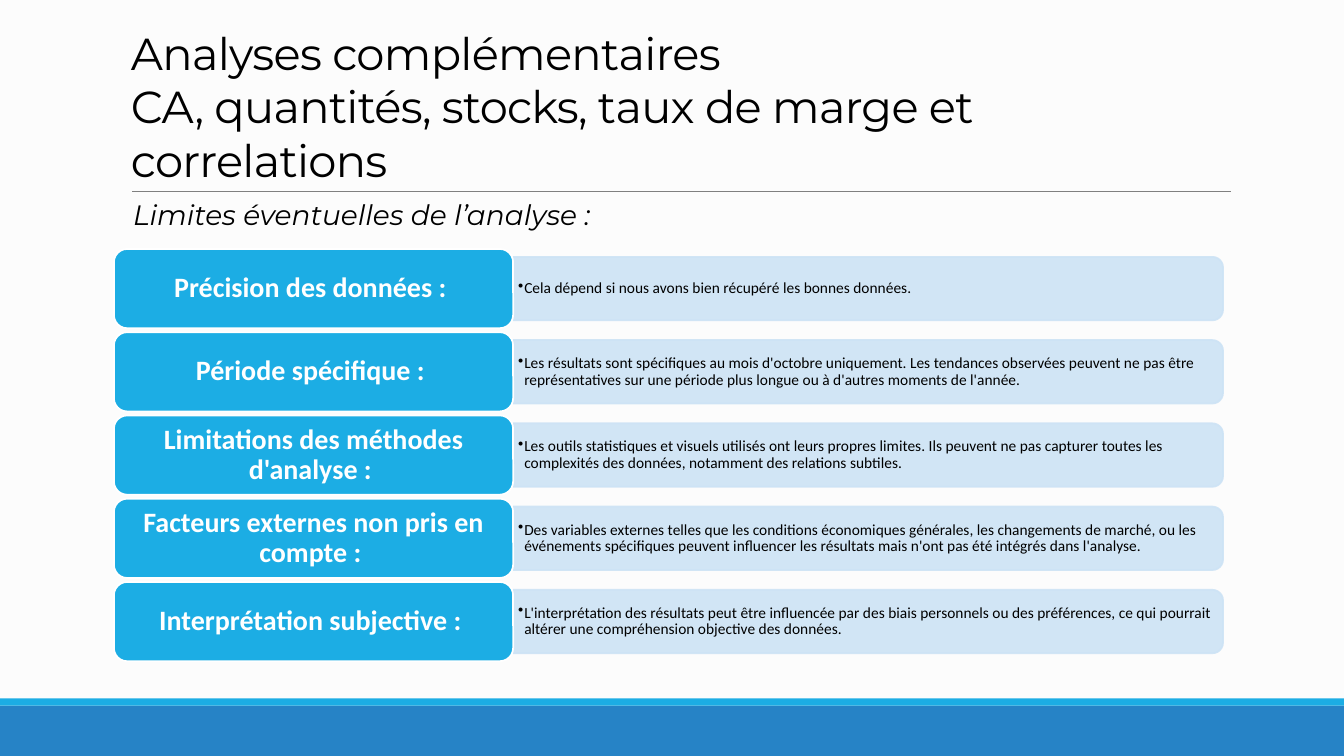
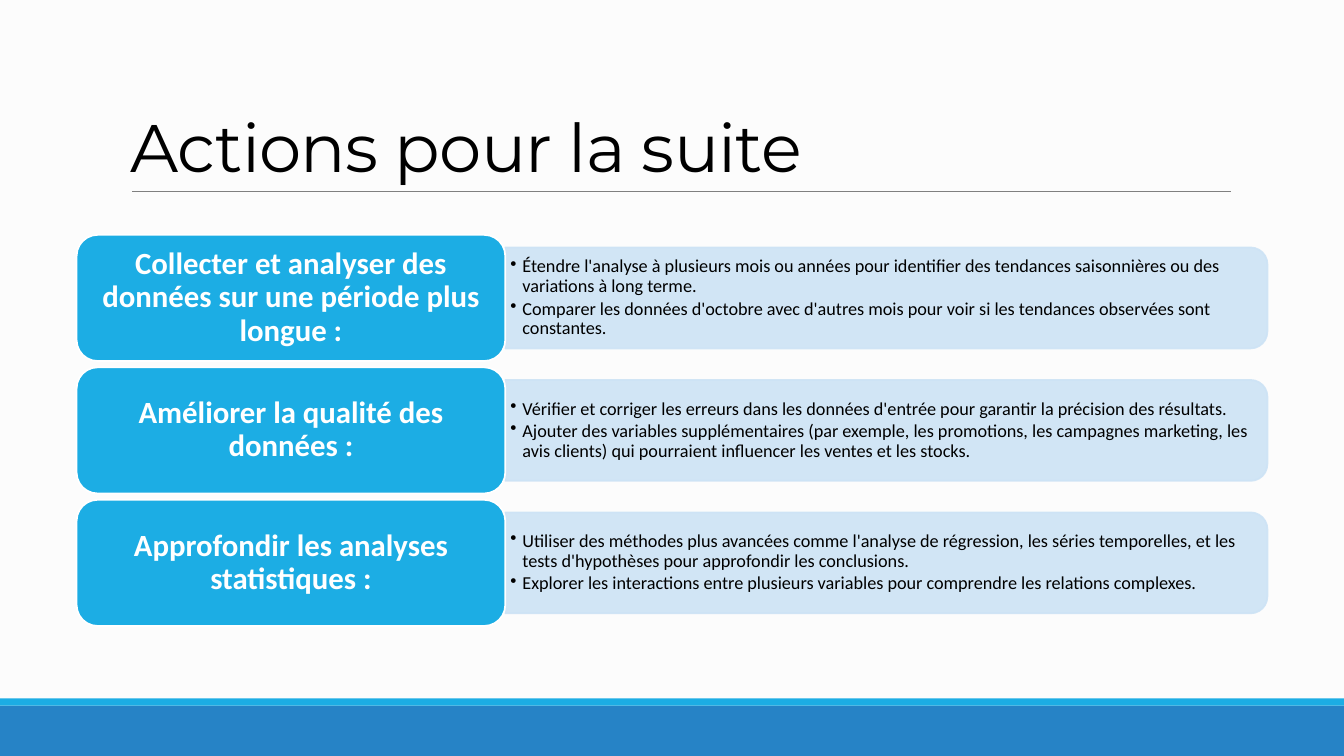
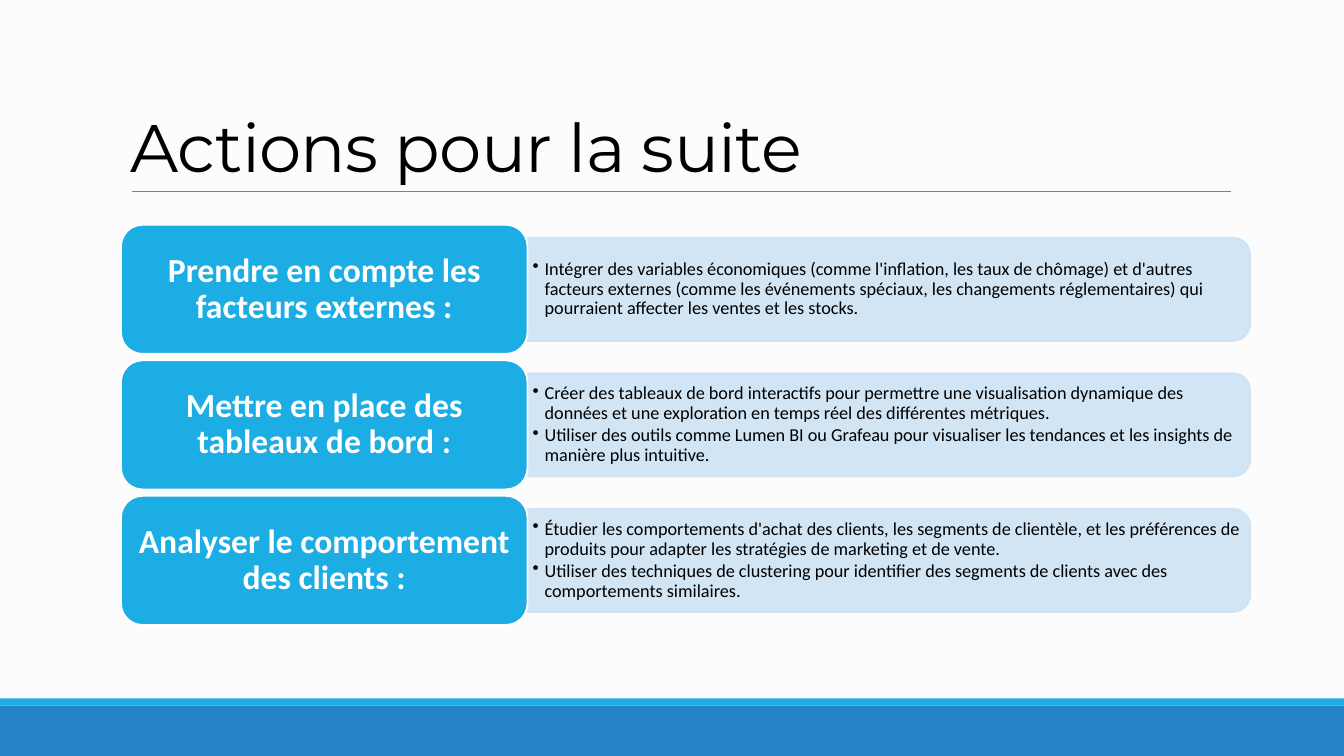
from pptx import Presentation
from pptx.dml.color import RGBColor
from pptx.enum.shapes import MSO_CONNECTOR, MSO_SHAPE
from pptx.enum.text import MSO_ANCHOR, PP_ALIGN
from pptx.oxml.ns import qn
from pptx.util import Inches, Pt
from lxml.etree import SubElement

WIDTH, HEIGHT = 13.33, 7.5
BACKGROUND, BLUE, CYAN, PALE = "FCFCFC", "2683C6", "1CADE4", "CDE3F5"
BLACK, WHITE, GREY = "000000", "FFFFFF", "808080"
TITLE_FONT, BODY_FONT = "Montserrat", "Calibri"

LIMITS = [
    ("Précision des données : ",
     ["Cela dépend si nous avons bien récupéré les bonnes données."]),
    ("Période spécifique : ",
     ["Les résultats sont spécifiques au mois d'octobre uniquement. Les tendances observées "
      "peuvent ne pas être représentatives sur une période plus longue ou à d'autres moments "
      "de l'année."]),
    ("Limitations des méthodes d'analyse : ",
     ["Les outils statistiques et visuels utilisés ont leurs propres limites. Ils peuvent ne "
      "pas capturer toutes les complexités des données, notamment des relations subtiles."]),
    ("Facteurs externes non pris en compte : ",
     ["Des variables externes telles que les conditions économiques générales, les changements "
      "de marché, ou les événements spécifiques peuvent influencer les résultats mais n'ont pas "
      "été intégrés dans l'analyse."]),
    ("Interprétation subjective : ",
     ["L'interprétation des résultats peut être influencée par des biais personnels ou des "
      "préférences, ce qui pourrait altérer une compréhension objective des données."]),
]
DATA_ACTIONS = [
    ("Collecter et analyser des données sur une période plus longue :",
     ["Étendre l'analyse à plusieurs mois ou années pour identifier des tendances saisonnières "
      "ou des variations à long terme.",
      "Comparer les données d'octobre avec d'autres mois pour voir si les tendances observées "
      "sont constantes."]),
    ("Améliorer la qualité des données :",
     ["Vérifier et corriger les erreurs dans les données d'entrée pour garantir la précision "
      "des résultats.",
      "Ajouter des variables supplémentaires (par exemple, les promotions, les campagnes "
      "marketing, les avis clients) qui pourraient influencer les ventes et les stocks."]),
    ("Approfondir les analyses statistiques :",
     ["Utiliser des méthodes plus avancées comme l'analyse de régression, les séries "
      "temporelles, et les tests d'hypothèses pour approfondir les conclusions.",
      "Explorer les interactions entre plusieurs variables pour comprendre les relations "
      "complexes."]),
]
BUSINESS_ACTIONS = [
    ("Prendre en compte les facteurs externes :",
     ["Intégrer des variables économiques (comme l'inflation, les taux de chômage) et d'autres "
      "facteurs externes (comme les événements spéciaux, les changements réglementaires) qui "
      "pourraient affecter les ventes et les stocks."]),
    ("Mettre en place des tableaux de bord :",
     ["Créer des tableaux de bord interactifs pour permettre une visualisation dynamique des "
      "données et une exploration en temps réel des différentes métriques.",
      "Utiliser des outils comme Lumen BI ou Grafeau pour visualiser les tendances et les "
      "insights de manière plus intuitive."]),
    ("Analyser le comportement des clients :",
     ["Étudier les comportements d'achat des clients, les segments de clientèle, et les "
      "préférences de produits pour adapter les stratégies de marketing et de vente.",
      "Utiliser des techniques de clustering pour identifier des segments de clients avec des "
      "comportements similaires."]),
]


def rgb(color):
    return RGBColor.from_string(color)


def box(left, top, width, height):
    return [Inches(v) for v in (left, top, width, height)]


def add_box(s, kind, at, fill, line=None):
    sp = s.shapes.add_shape(kind, *box(*at))
    sp.shadow.inherit = False
    sp.fill.solid()
    sp.fill.fore_color.rgb = rgb(fill)
    if line:
        sp.line.color.rgb = rgb(line)
        sp.line.width = Pt(1.25)
    else:
        sp.line.fill.background()
    return sp


def write(sp, paragraphs, size, font=BODY_FONT, color=BLACK, bold=False, italic=False,
          align=PP_ALIGN.LEFT, anchor=MSO_ANCHOR.MIDDLE, insets=(0.1, 0.05), spacing=0.9,
          after=0, margin=0, bullet=None, tracking=0):
    """Fill a shape with paragraphs; a bullet hangs to the left of the margin."""
    tf = sp.text_frame
    tf.word_wrap = True
    tf.vertical_anchor = anchor
    tf.margin_left = tf.margin_right = Inches(insets[0])
    tf.margin_top = tf.margin_bottom = Inches(insets[1])
    for i, text in enumerate(paragraphs):
        p = tf.add_paragraph() if i else tf.paragraphs[0]
        p.text = text
        p.alignment = align
        p.line_spacing = spacing
        p.space_after = Pt(after)
        pPr = p._p.get_or_add_pPr()
        pPr.set("marL", str(Inches(margin)))
        if bullet:
            pPr.set("indent", str(-Inches(margin)))
            SubElement(pPr, qn("a:buChar"), char=bullet)
        for r in p.runs:
            r.font.size, r.font.name = Pt(size), font
            r.font.bold, r.font.italic = bold, italic
            r.font.color.rgb = rgb(color)
            if tracking:
                r._r.get_or_add_rPr().set("spc", str(round(tracking * 100)))


def add_text(s, at, paragraphs, size, **style):
    write(s.shapes.add_textbox(*box(*at)), paragraphs, size, **style)


def add_titled_slide(prs, title, size, spacing):
    """Add a slide with the shared background, bottom bands, title and rule."""
    s = prs.slides.add_slide(prs.slide_layouts[6])
    s.background.fill.solid()
    s.background.fill.fore_color.rgb = rgb(BACKGROUND)
    add_box(s, MSO_SHAPE.RECTANGLE, (0, 7, WIDTH, 0.5), BLUE)
    add_box(s, MSO_SHAPE.RECTANGLE, (0, 6.93, WIDTH, 0.07), CYAN)
    rule = s.shapes.add_connector(MSO_CONNECTOR.STRAIGHT, *box(1.31, 1.9, 12.21, 1.9))
    rule.line.color.rgb = rgb(GREY)
    rule.line.width = Pt(0.5)
    SubElement(rule._element.spPr, qn("a:effectLst"))
    add_text(s, (1.2, 0.31, 11, 1.59), [title], size, font=TITLE_FONT,
             anchor=MSO_ANCHOR.BOTTOM, spacing=spacing, tracking=-0.5)
    return s


def add_panel(s, left, top, width, height):
    """Add a pale panel rounded on its right side: a quarter-turned top-rounded box."""
    at = (left + (width - height) / 2, top + (height - width) / 2, height, width)
    sp = add_box(s, MSO_SHAPE.ROUND_2_SAME_RECTANGLE, at, PALE, PALE)
    sp.rotation = 90
    for color in sp._element.spPr.iter(qn("a:srgbClr")):
        SubElement(color, qn("a:alpha"), val="90000")


def add_rows(s, rows, at, label_size, text_size, margin):
    """Stack label and panel rows in an area, with gaps of 5 % of a row."""
    left, top, width, height = at
    row_h = height / (1.05 * len(rows) - 0.05)
    label_w, panel_h = 0.36 * width, 0.8 * row_h
    panel_left, panel_w = left + label_w, width - label_w
    text_h = 0.9 * panel_h
    for i, (label, points) in enumerate(rows):
        y = top + i * 1.05 * row_h
        middle = y + row_h / 2
        add_panel(s, panel_left, middle - panel_h / 2, panel_w, panel_h)
        add_text(s, (panel_left, middle - text_h / 2, panel_w - 0.05 * panel_h, text_h),
                 points, text_size, insets=(0.05, 0.03), after=0.15 * text_size,
                 margin=margin, bullet="•")
        sp = add_box(s, MSO_SHAPE.ROUNDED_RECTANGLE, (left, y, label_w, row_h), CYAN, WHITE)
        write(sp, [label], label_size, color=WHITE, bold=True, align=PP_ALIGN.CENTER,
              insets=(label_size / 240, label_size / 480))


def main():
    prs = Presentation()
    prs.slide_width, prs.slide_height = Inches(WIDTH), Inches(HEIGHT)

    s = add_titled_slide(prs, "Analyses complémentaires\vCA, quantités, stocks, taux de marge "
                         "et correlations", 32, 1.0)
    add_rows(s, LIMITS, (1.13, 2.47, 11, 4.09), 20, 11, 0.06)
    add_text(s, (1.2, 1.86, 4.98, 0.51), ["Limites éventuelles de l’analyse :"], 20,
             font=TITLE_FONT, italic=True, anchor=MSO_ANCHOR.TOP, insets=(0, 0.05),
             spacing=1.15, margin=0.12)

    s = add_titled_slide(prs, "Actions pour la suite", 48, 0.85)
    add_rows(s, DATA_ACTIONS, (0.76, 2.33, 11.81, 3.88), 22, 13, 0.12)

    s = add_titled_slide(prs, "Actions pour la suite", 48, 0.85)
    add_rows(s, BUSINESS_ACTIONS, (1.2, 2.23, 11.2, 3.97), 24, 13, 0.12)

    prs.save("out.pptx")


if __name__ == "__main__":
    main()
